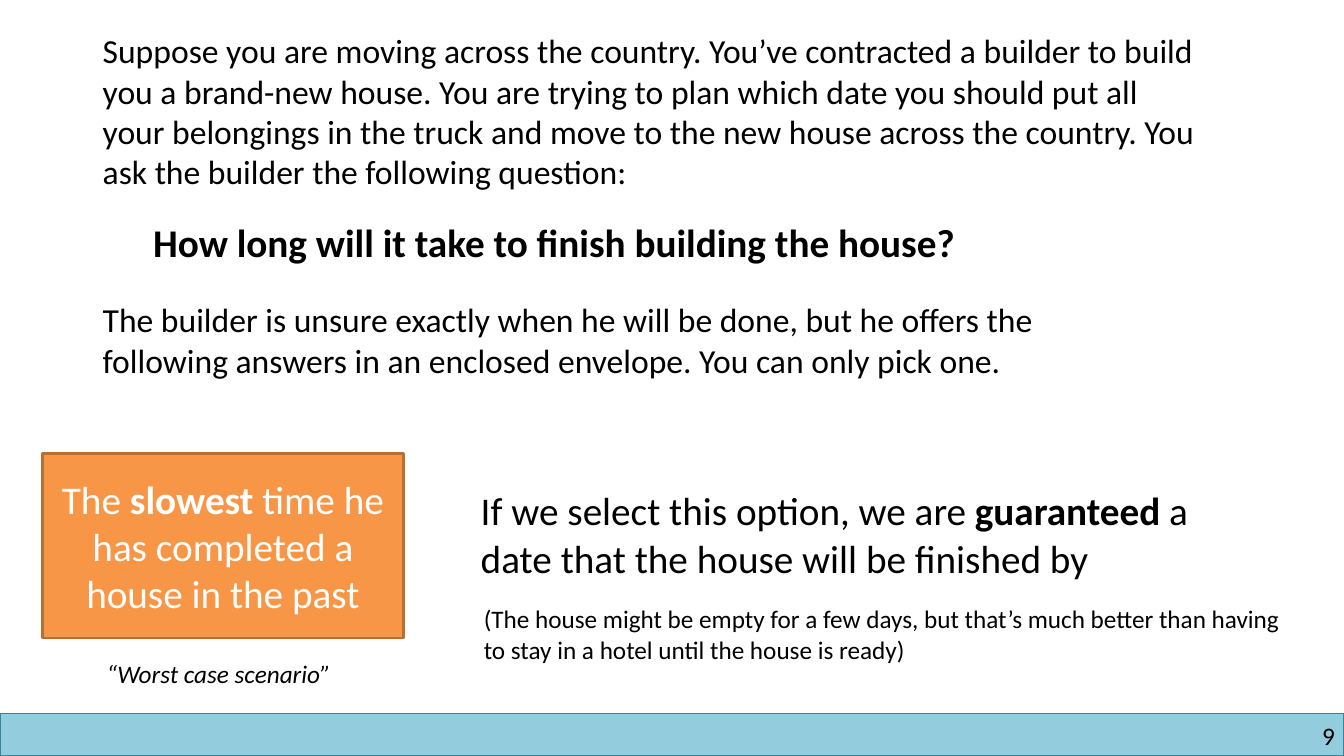
"""Build the house-building worst case slide."""
from pptx import Presentation
from pptx.dml.color import RGBColor
from pptx.enum.shapes import MSO_SHAPE
from pptx.enum.text import MSO_ANCHOR, PP_ALIGN
from pptx.util import Inches, Pt

RECTANGLE = MSO_SHAPE.RECTANGLE
MIDDLE = MSO_ANCHOR.MIDDLE
LEFT, CENTER, RIGHT = PP_ALIGN.LEFT, PP_ALIGN.CENTER, PP_ALIGN.RIGHT


def write(box, text, size=24, color="000000", bold=False, italic=False, align=LEFT, wrap=True):
    """Fill a box with text, setting words between double asterisks in bold."""
    frame = box.text_frame
    frame.word_wrap = wrap
    para = frame.paragraphs[0]
    para.alignment = align
    for index, part in enumerate(text.split("**")):
        span = para.add_run()
        span.text = part
        span.font.name = "Calibri"
        span.font.size = Pt(size)
        span.font.bold = bold or index % 2 == 1
        span.font.italic = italic
        span.font.color.rgb = RGBColor.from_string(color)


def add_panel(page, place, fill, line, weight):
    """Add a filled, outlined rectangle."""
    panel = page.shapes.add_shape(RECTANGLE, *map(Inches, place))
    panel.shadow.inherit = False
    panel.fill.solid()
    panel.fill.fore_color.rgb = RGBColor.from_string(fill)
    panel.line.color.rgb = RGBColor.from_string(line)
    panel.line.width = Pt(weight)
    return panel


deck = Presentation()
deck.slide_width, deck.slide_height = Inches(13.33), Inches(7.5)
page = deck.slides.add_slide(deck.slide_layouts[6])

add_panel(page, (0, 7.08, 13.33, 0.42), "93CDDD", "31859C", 1)

number = page.shapes.add_textbox(Inches(10.17), Inches(7.15), Inches(3.07), Inches(0.3))
write(number, "9", size=18, align=RIGHT)
frame = number.text_frame
frame.margin_left = frame.margin_top = frame.margin_right = frame.margin_bottom = 0

answer = add_panel(page, (0.42, 4.5, 3.58, 1.83), "F79646", "B76F34", 2)
answer.text_frame.vertical_anchor = MIDDLE
write(answer, "The **slowest** time he has completed a house in the past",
      size=28, color="FFFFFF", align=CENTER)

passages = [
    ((0.92, 0.25, 11.08, 1.72),
     "Suppose you are moving across the country. You’ve contracted a builder to build you a "
     "brand-new house. You are trying to plan which date you should put all your belongings in "
     "the truck and move to the new house across the country. You ask the builder the "
     "following question:", {}),
    ((1.42, 2.12, 9.44, 0.57), "How long will it take to finish building the house?",
     {"size": 28, "bold": True, "wrap": False}),
    ((0.92, 2.92, 10.67, 0.91),
     "The builder is unsure exactly when he will be done, but he offers the following answers "
     "in an enclosed envelope. You can only pick one.", {}),
    ((0.96, 6.48, 2.66, 0.4), "“Worst case scenario”",
     {"size": 18, "italic": True, "wrap": False}),
    ((4.67, 4.78, 7.87, 1.04),
     "If we select this option, we are **guaranteed** a date that the house will be finished by",
     {"size": 28}),
    ((4.7, 5.94, 8.23, 0.71),
     "(The house might be empty for a few days, but that’s much better than having to stay in "
     "a hotel until the house is ready)", {"size": 18}),
]
for place, text, style in passages:
    write(page.shapes.add_textbox(*map(Inches, place)), text, **style)

deck.save("out.pptx")
